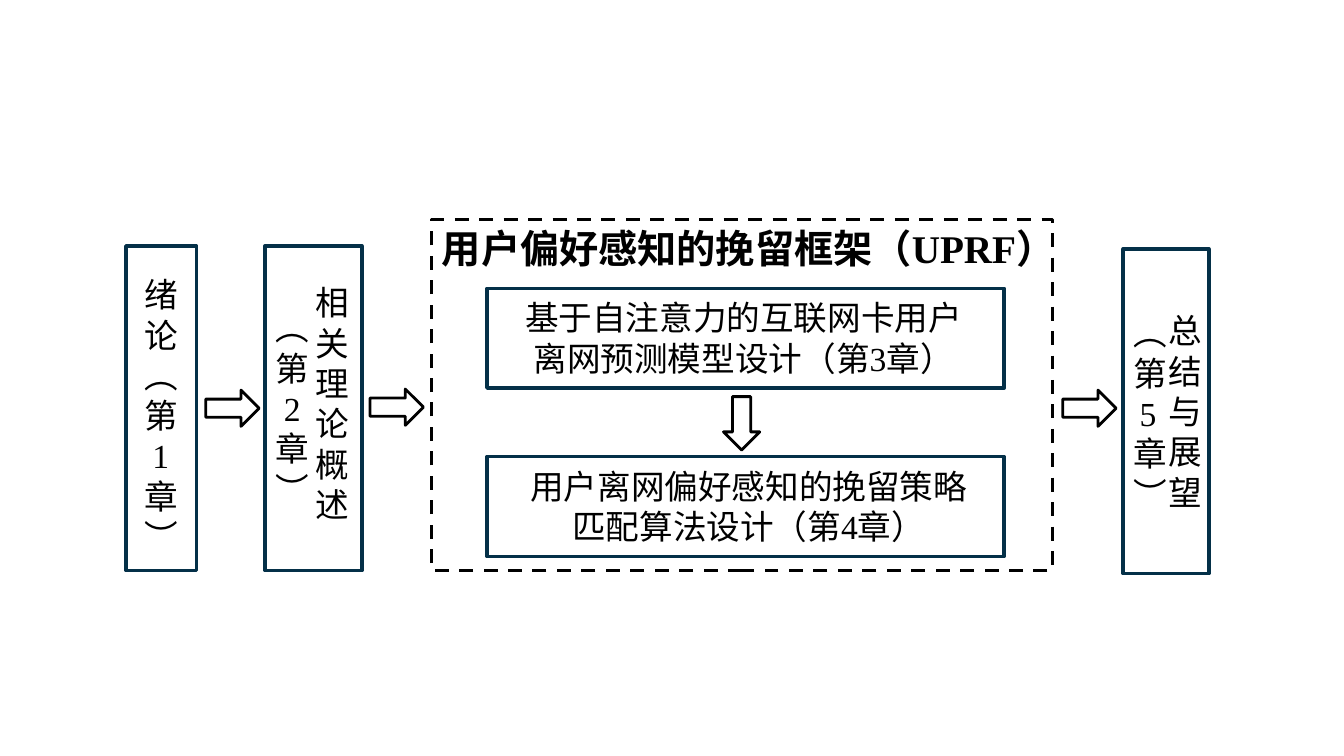
import pptx
import pptx.dml.color
import pptx.enum.dml
import pptx.enum.shapes
import pptx.enum.text
import pptx.util

Inches = pptx.util.Inches
Pt = pptx.util.Pt
SHAPES = pptx.enum.shapes.MSO_SHAPE
ALIGN = pptx.enum.text.PP_ALIGN

FONT = "Times New Roman"
BLACK = "000000"
NAVY = "043048"


def color(hex_string):
    return pptx.dml.color.RGBColor.from_string(hex_string)


def add_outline(slide, kind, left, top, width, height, line_color, line_width):
    """Add an unfilled preset shape."""
    shape = slide.shapes.add_shape(
        kind, Inches(left), Inches(top), Inches(width), Inches(height))
    shape.shadow.inherit = False
    shape.fill.background()
    shape.line.color.rgb = color(line_color)
    shape.line.width = Pt(line_width)
    return shape


def add_box(slide, left, top, width, height, line_color=NAVY):
    return add_outline(slide, SHAPES.RECTANGLE, left, top, width, height, line_color, 2.5)


def add_arrow(slide, left, top, rotation=0):
    arrow = add_outline(slide, SHAPES.RIGHT_ARROW, left, top, 0.53, 0.36, BLACK, 2)
    arrow.rotation = rotation


def write_lines(text_frame, lines, size, bold=False, align=ALIGN.CENTER):
    """Write one paragraph per line."""
    text_frame.word_wrap = True
    text_frame.vertical_anchor = pptx.enum.text.MSO_ANCHOR.TOP
    for index, line in enumerate(lines):
        paragraph = text_frame.add_paragraph() if index else text_frame.paragraphs[0]
        paragraph.alignment = align
        run = paragraph.add_run()
        run.text = line
        run.font.name = FONT
        run.font.size = Pt(size)
        run.font.bold = bold
        run.font.color.rgb = color(BLACK)


def add_text(slide, lines, left, top, width, height, align=ALIGN.CENTER):
    text_box = slide.shapes.add_textbox(
        Inches(left), Inches(top), Inches(width), Inches(height))
    write_lines(text_box.text_frame, lines, 24, align=align)


def add_title(slide, text, left, top, width, height):
    title = slide.shapes.title
    title.left, title.top = Inches(left), Inches(top)
    title.width, title.height = Inches(width), Inches(height)
    write_lines(title.text_frame, [text], 28, bold=True)


def main():
    presentation = pptx.Presentation()
    presentation.slide_width = Inches(13.33)
    presentation.slide_height = Inches(7.5)
    slide = presentation.slides.add_slide(presentation.slide_layouts[5])

    # Framework heading
    add_title(slide, "用户偏好感知的挽留框架（UPRF）", 3.72, 2.18, 7.41, 0.57)

    # Chapter 1: one character per line
    add_box(slide, 1.25, 2.44, 0.7, 3.22)
    add_text(slide, list("绪论︵第1章︶"), 1.24, 2.67, 0.71, 2.68)

    # Chapter 2
    add_box(slide, 2.63, 2.44, 0.96, 3.22)
    add_text(slide, list("相关理论概述"), 2.98, 2.75, 0.64, 2.67)
    add_text(slide, list("︵第2章︶"), 2.57, 3, 0.66, 1.94)

    # Chapter 5: the narrow box wraps its heading into a column
    add_box(slide, 11.14, 2.47, 0.85, 3.22)
    add_text(slide, ["总结与展望"], 11.49, 3.03, 0.35, 1.94, ALIGN.LEFT)
    add_text(slide, list("︵第5章︶"), 11.14, 3.05, 0.49, 1.94)

    # Framework with chapters 3 and 4
    for top in (2.86, 4.53):
        add_box(slide, 4.83, top, 5.13, 0.99)
    add_text(slide, ["基于自注意力的互联网卡用户", "离网预测模型设计（第3章）"],
             4.85, 2.9, 5.05, 1.31)
    add_text(slide, ["用户离网偏好感知的挽留策略匹配算法设计（第4章）"],
             5.12, 4.57, 4.61, 1.31)
    frame = add_box(slide, 4.28, 2.18, 6.16, 3.48, BLACK)
    frame.line.dash_style = pptx.enum.dml.MSO_LINE.DASH

    # Flow arrows
    for left, top in ((2.04, 3.87), (3.67, 3.86), (10.54, 3.87)):
        add_arrow(slide, left, top)
    add_arrow(slide, 7.09, 4.02, rotation=90)

    presentation.save("out.pptx")


if __name__ == "__main__":
    main()
